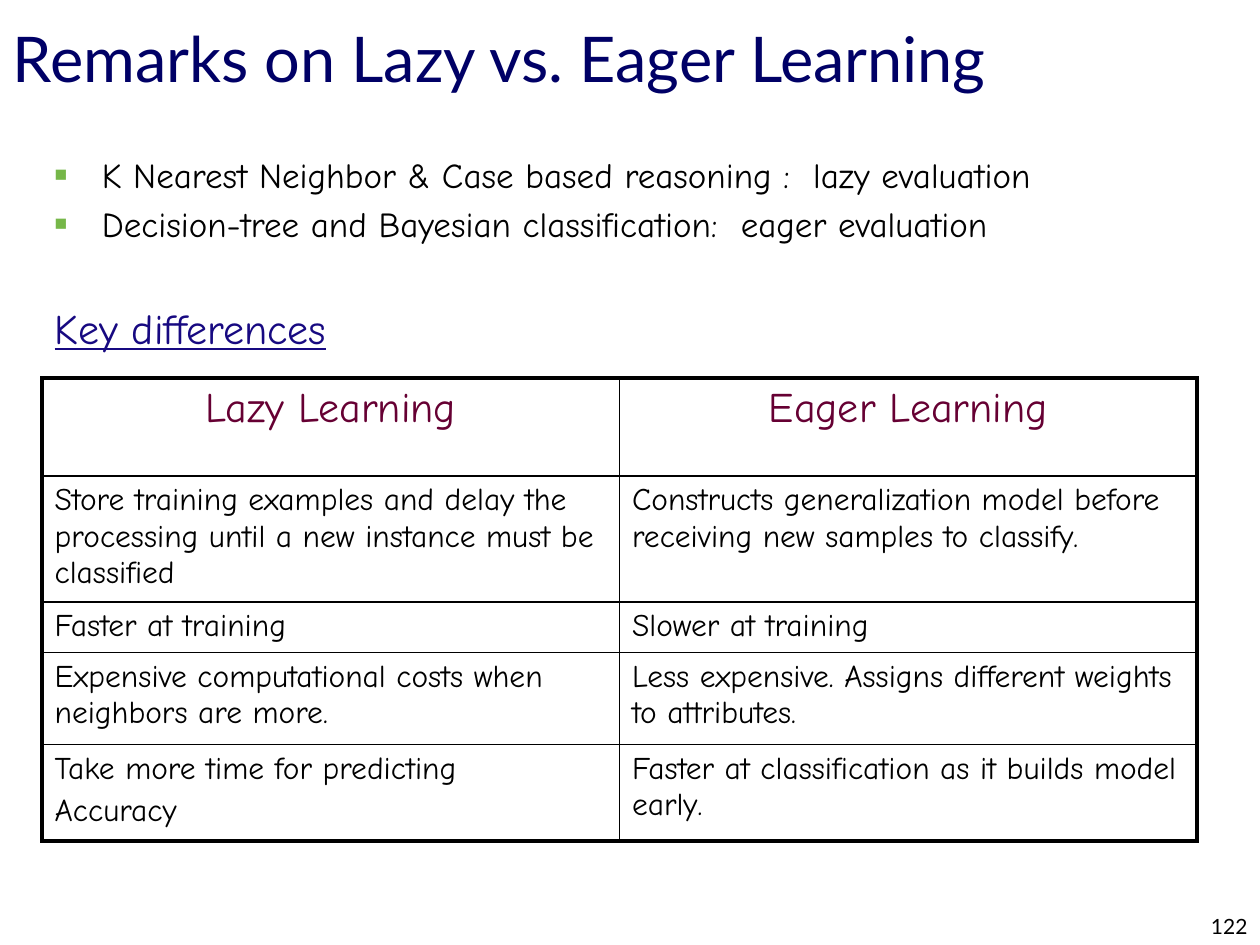
from lxml.etree import SubElement
from pptx import Presentation
from pptx.dml.color import RGBColor
from pptx.enum.text import MSO_ANCHOR, MSO_AUTO_SIZE, PP_ALIGN
from pptx.oxml.ns import qn
from pptx.util import Pt


def rgb(value):
    return RGBColor.from_string(value)


class SlideBuilder:
    heading_font = "Lato"
    body_font = "Comic Neue"
    black = "000000"
    navy = "000066"
    indigo = "170981"
    maroon = "660033"
    green = "76B749"
    thin = 1
    thick = 2.25

    def __init__(self, prs):
        self.s = prs.slides.add_slide(prs.slide_layouts[1])

    def place(self, sp, left, top, width, height):
        sp.left, sp.top = Pt(left), Pt(top)
        sp.width, sp.height = Pt(width), Pt(height)
        tf = sp.text_frame
        tf.word_wrap = True
        tf.auto_size = MSO_AUTO_SIZE.NONE
        return tf

    def style(self, p, size, color, font, align=PP_ALIGN.LEFT, before=0):
        p.alignment = align
        p.space_before = Pt(before)
        for r in p.runs:
            r.font.size = Pt(size)
            r.font.name = font
            r.font.color.rgb = rgb(color)

    def title(self, text, *box):
        tf = self.place(self.s.shapes.title, *box)
        tf.vertical_anchor = MSO_ANCHOR.MIDDLE
        tf.text = text
        self.style(tf.paragraphs[0], 36, self.navy, self.heading_font)

    def body(self, bullets, subheading, *box):
        tf = self.place(self.s.placeholders[1], *box)
        tf.text = "\n".join([*bullets, subheading])
        *items, last = tf.paragraphs
        for i, p in enumerate(items):
            self.bullet(p)
            self.style(p, 20, self.black, self.body_font, before=4 if i else 0)
        self.bullet(last, False)
        self.style(last, 24, self.indigo, self.body_font, before=33)
        last.runs[0].font.underline = True

    def bullet(self, p, visible=True):
        pPr = p._p.get_or_add_pPr()
        pPr.set("marL", str(Pt(27)))
        pPr.set("indent", str(Pt(-27)))
        if not visible:
            SubElement(pPr, qn("a:buNone"))
            return
        SubElement(SubElement(pPr, qn("a:buClr")), qn("a:srgbClr"), val=self.green)
        SubElement(pPr, qn("a:buSzPct"), val="60000")
        SubElement(pPr, qn("a:buFont"), typeface="Arial")
        SubElement(pPr, qn("a:buChar"), char="■")

    def table(self, rows, heights, left, top, width):
        n_rows, n_cols = len(rows), len(rows[0])
        frame = self.s.shapes.add_table(
            n_rows, n_cols, Pt(left), Pt(top), Pt(width), Pt(sum(heights)))
        tbl = frame.table
        tbl.first_row = tbl.horz_banding = False
        for col in tbl.columns:
            col.width = Pt(width / n_cols)
        for i, (texts, height) in enumerate(zip(rows, heights)):
            tbl.rows[i].height = Pt(height)
            for j, text in enumerate(texts):
                cell = tbl.cell(i, j)
                self.cell_text(cell, text, i == 0)
                self.borders(cell, {
                    "L": j == 0, "R": j == n_cols - 1,
                    "T": i == 0, "B": i == n_rows - 1})
                cell.fill.background()

    def cell_text(self, cell, text, header):
        cell.text_frame.text = text
        for i, p in enumerate(cell.text_frame.paragraphs):
            if header:
                self.style(p, 24, self.maroon, self.body_font, PP_ALIGN.CENTER)
            else:
                self.style(p, 18, self.black, self.body_font, before=3.6 if i else 0)

    def borders(self, cell, outer):
        tcPr = cell._tc.get_or_add_tcPr()
        for side, is_outer in outer.items():
            width = Pt(self.thick if is_outer else self.thin)
            ln = SubElement(tcPr, qn(f"a:ln{side}"), w=str(width))
            SubElement(SubElement(ln, qn("a:solidFill")), qn("a:srgbClr"), val=self.black)

    def page_number(self, text, *box):
        tf = self.place(self.s.shapes.add_textbox(0, 0, 0, 0), *box)
        tf.vertical_anchor = MSO_ANCHOR.BOTTOM
        tf.text = text
        self.style(tf.paragraphs[0], 12, self.black, self.heading_font, PP_ALIGN.RIGHT)


def main():
    prs = Presentation()
    prs.slide_width, prs.slide_height = Pt(720), Pt(540)
    slide = SlideBuilder(prs)
    slide.title("Remarks on Lazy vs. Eager Learning", 0, 0, 720, 66)
    slide.body(
        ["K Nearest Neighbor & Case based reasoning :  lazy evaluation",
         "Decision-tree and Bayesian classification:  eager evaluation"],
        "Key differences", 24, 84, 696, 426)
    slide.table(
        [("Lazy Learning", "Eager Learning"),
         ("Store training examples and delay the processing until a new instance must be classified",
          "Constructs generalization model before receiving new samples to classify."),
         ("Faster at training", "Slower at training"),
         ("Expensive computational costs when neighbors are more.",
          "Less expensive. Assigns different weights to attributes."),
         ("Take more time for predicting\nAccuracy",
          "Faster at classification as it builds model early.")],
        [56, 72, 29, 52.5, 55], 24, 216, 660)
    slide.page_number("122", 570, 510, 150, 30)
    prs.save("out.pptx")


if __name__ == "__main__":
    main()
